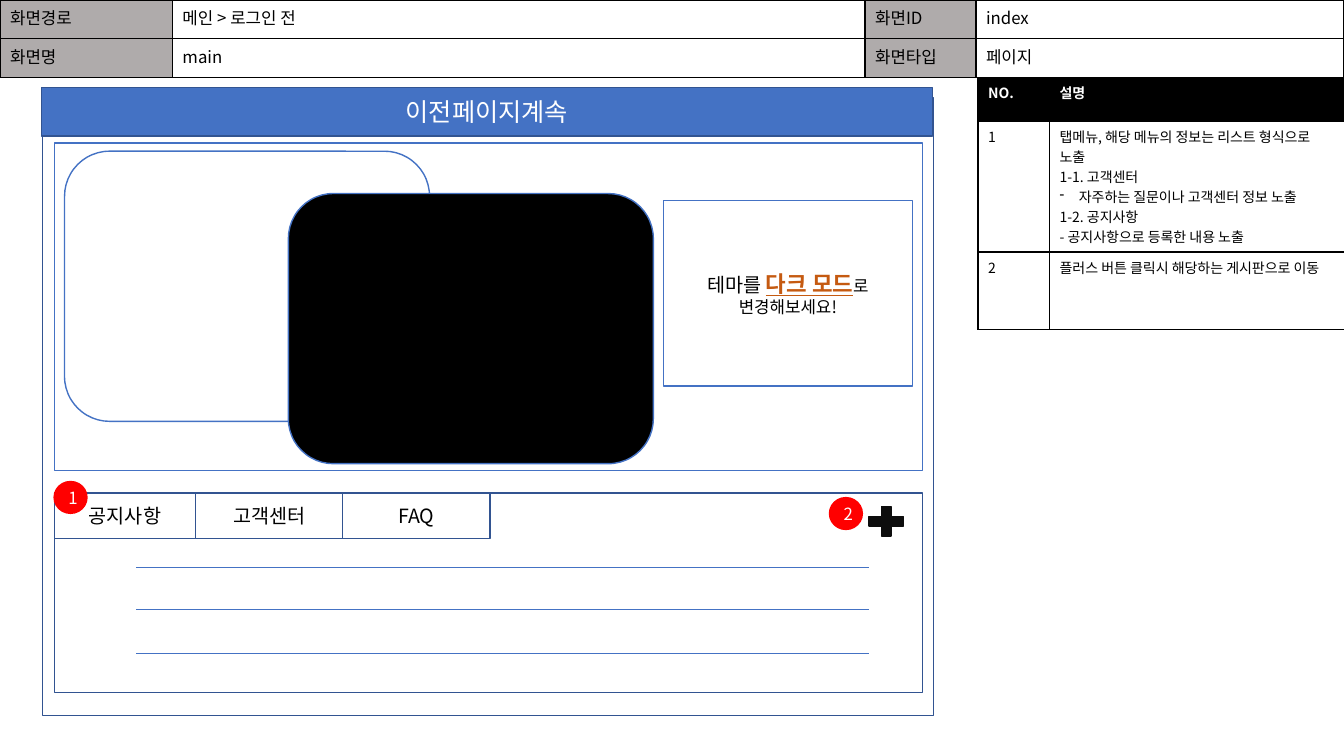
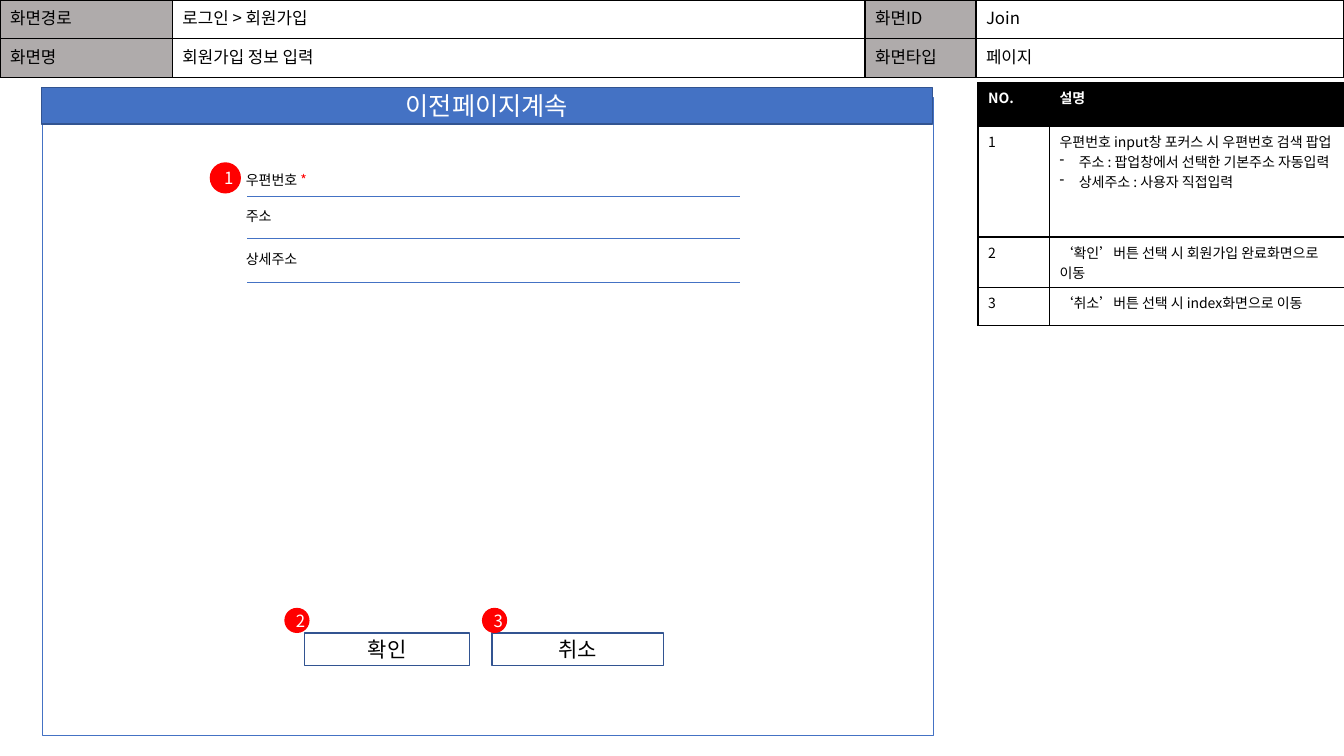
from collections import namedtuple

from lxml.etree import SubElement
from pptx import Presentation
from pptx.dml.color import RGBColor
from pptx.enum.shapes import MSO_CONNECTOR, MSO_SHAPE
from pptx.enum.text import MSO_ANCHOR, MSO_AUTO_SIZE, PP_ALIGN
from pptx.oxml.ns import qn
from pptx.util import Inches, Pt

FONT = "Noto Sans CJK KR"
BLACK, WHITE, GREY = "000000", "FFFFFF", "AFABAB"
BLUE, NAVY, RED, ORANGE = "4472C4", "325491", "FF0000", "C55A11"
DARK = "0D0D0D"

Bullet = namedtuple("Bullet", "text")

BANNER = "이전페이지계속"
INFO_COLUMNS = [1.71, 6.87, 1.1, 3.65]
NOTE_COLUMNS = [0.71, 2.93]
NOTE_HEADINGS = ["NO.", "설명"]

MAIN = {
    "info": [["화면경로", "메인 > 로그인 전", "화면ID", "index"],
             ["화면명", "main", "화면타입", "페이지"]],
    "notes": [
        ["탭메뉴, 해당 메뉴의 정보는 리스트 형식으로 노출",
         "1-1. 고객센터",
         Bullet("자주하는 질문이나 고객센터 정보 노출"),
         "1-2. 공지사항",
         "- 공지사항으로 등록한 내용 노출"],
        ["플러스 버튼 클릭시 해당하는 게시판으로 이동"],
    ],
    "notes_top": 0.77,
    "note_heights": [0.43, 0.77, 0.77],
    "frame_height": 6.13,
    "frame_line": NAVY,
    "banner_height": 0.48,
}
JOIN = {
    "info": [["화면경로", "로그인 > 회원가입", "화면ID", "Join"],
             ["화면명", "회원가입 정보 입력", "화면타입", "페이지"]],
    "notes": [
        ["우편번호 input창 포커스 시 우편번호 검색 팝업",
         Bullet("주소 : 팝업창에서 선택한 기본주소 자동입력"),
         Bullet("상세주소 : 사용자 직접입력")],
        ["‘확인’버튼 선택 시 회원가입 완료화면으로 이동"],
        ["‘취소’버튼 선택 시 index화면으로 이동"],
    ],
    "notes_top": 0.82,
    "note_heights": [0.43, 0.52, 0.39, 0.38],
    "frame_height": 6.33,
    "frame_line": BLUE,
    "banner_height": 0.36,
}

THEME_MESSAGE = [
    [("테마를 ", {"size": 14}),
     ("다크 모드", {"size": 16, "color": ORANGE, "bold": True, "underline": True}),
     ("로", {})],
    "변경해보세요!",
]
TABS = [("공지사항", 1.4), ("고객센터", 1.46), ("FAQ", 1.46)]
LIST_LINES = [5.63, 6.05, 6.48]
MAIN_BADGES = [("1", 0.53, 4.77), ("2", 8.22, 4.93)]

FIELDS = [
    ([("우편번호", {}), (" *", {"color": RED})], 1.65, 0.87, 1.95),
    ("주소", 2.01, 0.48, 2.36),
    ("상세주소", 2.44, 0.76, 2.8),
]
BUTTONS = [("확인", 3.02, 1.64), ("취소", 4.88, 1.7)]
JOIN_BADGES = [("1", 2.08, 1.61, 0.31), ("2", 2.82, 6.03, 0.25), ("3", 4.78, 6.03, 0.25)]


def rgb(value):
    return RGBColor.from_string(value)


def add_bullet(para):
    properties = para._p.get_or_add_pPr()
    properties.set("marL", str(Inches(0.19)))
    properties.set("indent", str(-Inches(0.19)))
    SubElement(properties, qn("a:buChar"), char="-")


def write(frame, paragraphs, size=12, color=BLACK, bold=False, underline=False, align=PP_ALIGN.LEFT):
    base = {"size": size, "color": color, "bold": bold, "underline": underline}
    for index, content in enumerate(paragraphs):
        para = frame.paragraphs[0] if index == 0 else frame.add_paragraph()
        para.alignment = align
        if isinstance(content, Bullet):
            add_bullet(para)
            content = content.text
        spans = [(content, {})] if isinstance(content, str) else content
        for text, changes in spans:
            style = {**base, **changes}
            span = para.add_run()
            span.text = text
            span.font.name = FONT
            span.font.size = Pt(style["size"])
            span.font.bold = style["bold"]
            span.font.underline = style["underline"]
            span.font.color.rgb = rgb(style["color"])
            SubElement(span._r.get_or_add_rPr(), qn("a:ea"), typeface=FONT)


def add_box(page, kind, left, top, width, height, fill=WHITE, line=NAVY, paragraphs=(), **style):
    box = page.shapes.add_shape(kind, Inches(left), Inches(top), Inches(width), Inches(height))
    box.shadow.inherit = False
    if fill:
        box.fill.solid()
        box.fill.fore_color.rgb = rgb(fill)
    else:
        box.fill.background()
    if line:
        box.line.color.rgb = rgb(line)
        box.line.width = Pt(1)
    else:
        box.line.fill.background()
    box.text_frame.vertical_anchor = MSO_ANCHOR.MIDDLE
    write(box.text_frame, paragraphs, align=PP_ALIGN.CENTER, **style)
    return box


def add_badge(page, number, left, top, width, height):
    add_box(page, MSO_SHAPE.OVAL, left, top, width, height, RED, None, [number], color=WHITE)


def add_rule(page, left, right, top):
    rule = page.shapes.add_connector(
        MSO_CONNECTOR.STRAIGHT, Inches(left), Inches(top), Inches(right), Inches(top))
    rule.line.color.rgb = rgb(BLUE)
    rule.line.width = Pt(0.5)
    SubElement(rule._element.spPr, qn("a:effectLst"))


def add_label(page, content, left, top, width):
    label = page.shapes.add_textbox(Inches(left), Inches(top), Inches(width), Inches(0.27))
    label.text_frame.word_wrap = False
    label.text_frame.auto_size = MSO_AUTO_SIZE.SHAPE_TO_FIT_TEXT
    write(label.text_frame, [content], size=10)


def fill_cell(cell, paragraphs, fill, **style):
    properties = cell._tc.get_or_add_tcPr()
    for side in ("a:lnL", "a:lnR", "a:lnT", "a:lnB"):
        border = SubElement(properties, qn(side), w=str(Pt(1)))
        SubElement(SubElement(border, qn("a:solidFill")), qn("a:srgbClr"), val=BLACK)
    cell.fill.solid()
    cell.fill.fore_color.rgb = rgb(fill)
    write(cell.text_frame, paragraphs, **style)


def add_grid(page, left, top, columns, heights):
    grid = page.shapes.add_table(
        len(heights), len(columns), Inches(left), Inches(top),
        Inches(sum(columns)), Inches(sum(heights))).table
    grid.first_row = grid.horz_banding = False
    for column, width in zip(grid.columns, columns):
        column.width = Inches(width)
    for row, height in zip(grid.rows, heights):
        row.height = Inches(height)
    return grid


def add_notes(page, screen):
    grid = add_grid(page, 9.7, screen["notes_top"], NOTE_COLUMNS, screen["note_heights"])
    for column, heading in enumerate(NOTE_HEADINGS):
        fill_cell(grid.cell(0, column), [heading], BLACK, size=10, color=WHITE, bold=True)
    for number, note in enumerate(screen["notes"], 1):
        fill_cell(grid.cell(number, 0), [str(number)], WHITE, size=10)
        fill_cell(grid.cell(number, 1), note, WHITE, size=10)


def add_info(page, screen):
    grid = add_grid(page, 0, 0, INFO_COLUMNS, [0.385, 0.385])
    for row, texts in enumerate(screen["info"]):
        for column, text in enumerate(texts):
            fill_cell(grid.cell(row, column), [text], WHITE if column % 2 else GREY)


def add_screen(deck, screen):
    page = deck.slides.add_slide(deck.slide_layouts[6])
    add_notes(page, screen)
    add_info(page, screen)
    add_box(page, MSO_SHAPE.RECTANGLE, 0.42, 0.97, 8.84, screen["frame_height"],
            line=screen["frame_line"])
    add_box(page, MSO_SHAPE.RECTANGLE, 0.41, 0.87, 8.84, screen["banner_height"], BLUE,
            paragraphs=[BANNER], size=18, color=WHITE)
    return page


def build_main(deck):
    page = add_screen(deck, MAIN)
    add_box(page, MSO_SHAPE.RECTANGLE, 0.54, 4.89, 8.61, 1.98)
    for top in LIST_LINES:
        add_rule(page, 1.35, 8.62, top)
    add_box(page, MSO_SHAPE.RECTANGLE, 0.54, 1.42, 8.61, 3.25, line=BLUE)
    for left, top, fill in [(0.64, 1.5, WHITE), (2.86, 1.92, BLACK)]:
        add_box(page, MSO_SHAPE.ROUNDED_RECTANGLE, left, top, 3.62, 2.68, fill, BLUE)
    add_box(page, MSO_SHAPE.RECTANGLE, 6.58, 1.99, 2.47, 1.84, line=BLUE, paragraphs=THEME_MESSAGE)
    left = 0.54
    for name, width in TABS:
        add_box(page, MSO_SHAPE.RECTANGLE, left, 4.89, width, 0.45, paragraphs=[name], size=14)
        left += width
    add_box(page, MSO_SHAPE.MATH_PLUS, 8.56, 4.97, 0.46, 0.4, DARK, DARK)
    for number, left, top in MAIN_BADGES:
        add_badge(page, number, left, top, 0.34, 0.33)


def build_join(deck):
    page = add_screen(deck, JOIN)
    for content, top, width, rule_top in FIELDS:
        add_label(page, content, 2.34, top, width)
        add_rule(page, 2.45, 7.34, rule_top)
    for name, left, width in BUTTONS:
        add_box(page, MSO_SHAPE.RECTANGLE, left, 6.28, width, 0.32, None, paragraphs=[name], size=15)
    for number, left, top, size in JOIN_BADGES:
        add_badge(page, number, left, top, size, size)


def main():
    deck = Presentation()
    deck.slide_width, deck.slide_height = Inches(13.33), Inches(7.5)
    build_main(deck)
    build_join(deck)
    deck.save("out.pptx")


if __name__ == "__main__":
    main()
